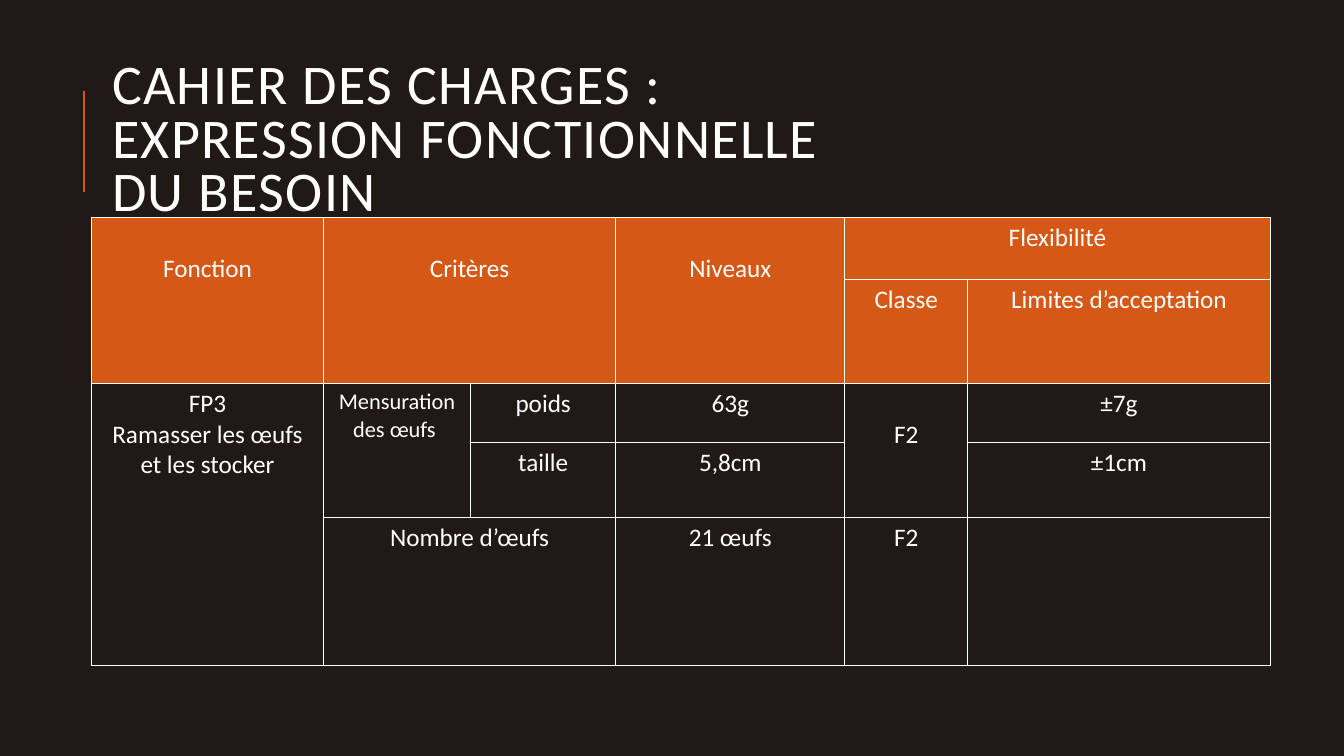
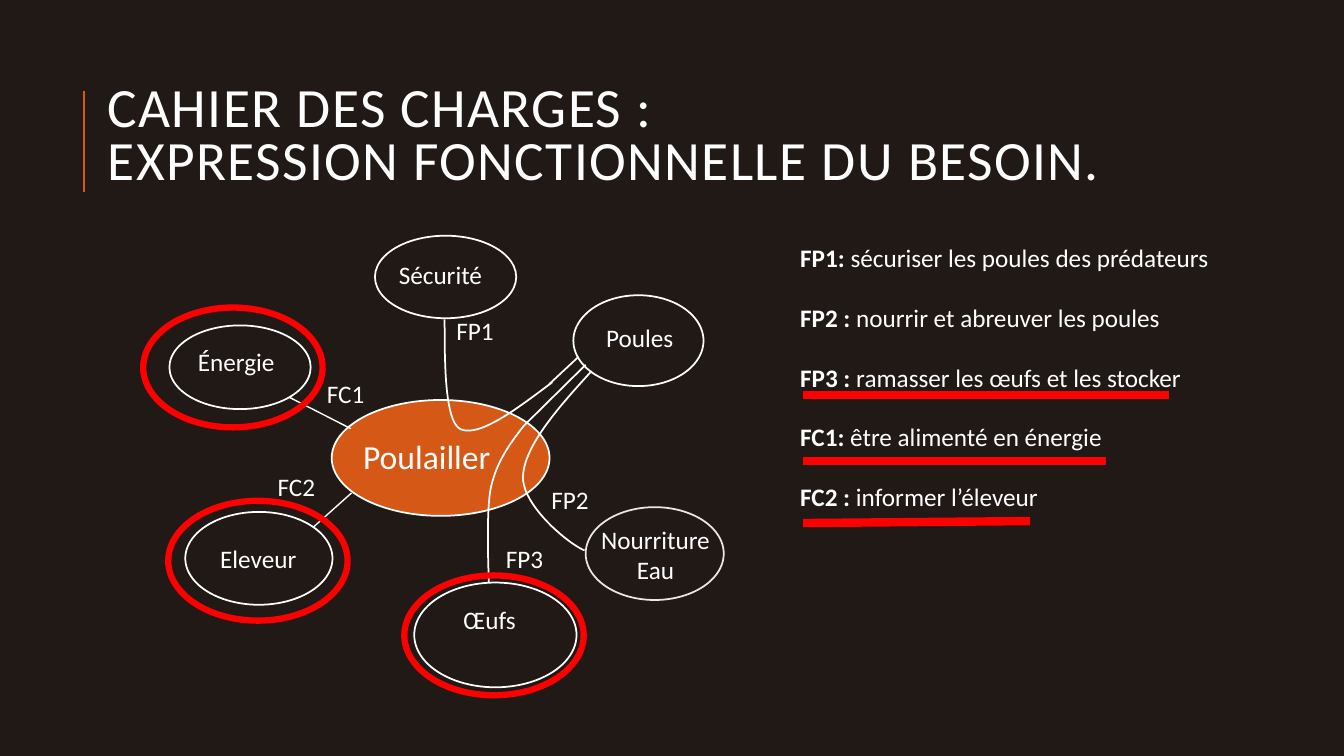
import pptx
import pptx.util
import pptx.dml.color
import pptx.enum.shapes
import pptx.enum.text
import pptx.oxml.ns
import lxml.etree

Cm = pptx.util.Cm
Pt = pptx.util.Pt
RGBColor = pptx.dml.color.RGBColor
Align = pptx.enum.text.PP_ALIGN
Anchor = pptx.enum.text.MSO_ANCHOR

DARK = RGBColor(0x21, 0x19, 0x15)
ORANGE = RGBColor(0xD5, 0x58, 0x16)
WHITE = RGBColor(0xFF, 0xFF, 0xFF)
CREAM = RGBColor(0xED, 0xE7, 0xE3)
RED = RGBColor(0xFF, 0x00, 0x00)
FONT = "Calibri"
CURVE_STEPS = 20

COLUMNS = [5.84, 3.71, 3.66, 5.77, 3.1, 7.62]
ROWS = [1.55, 2.62, 1.5, 1.88, 3.73]
MERGES = [
    (0, 0, 1, 0), (0, 1, 1, 2), (0, 3, 1, 3), (0, 4, 0, 5),
    (2, 0, 4, 0), (2, 1, 3, 1), (2, 4, 3, 4), (4, 1, 4, 2),
]
CELLS = {
    (0, 0): ["Fonction"],
    (0, 1): ["Critères"],
    (0, 3): ["Niveaux"],
    (0, 4): ["Flexibilité"],
    (1, 4): ["Classe"],
    (1, 5): ["Limites d’acceptation"],
    (2, 0): ["FP3", "Ramasser les œufs et les stocker"],
    (2, 1): ["Mensuration des œufs "],
    (2, 2): ["poids"],
    (2, 3): ["63g"],
    (2, 4): ["F2"],
    (2, 5): ["±7g"],
    (3, 2): ["taille"],
    (3, 3): ["5,8cm"],
    (3, 5): ["±1cm"],
    (4, 1): ["Nombre d’œufs"],
    (4, 3): ["21 œufs"],
    (4, 4): ["F2"],
}
LOWERED_CELLS = [(0, 0), (0, 1), (0, 3), (2, 4)]
SMALL_CELL = (2, 1)

ELLIPSES = [
    (8.36, 10.08, 5.49, 2.92, ORANGE, WHITE),
    (4.27, 8.2, 3.56, 2.11, DARK, WHITE),
    (14.45, 7.44, 3.28, 2.29, DARK, WHITE),
    (14.76, 12.78, 3.48, 2.34, DARK, CREAM),
    (9.45, 5.94, 3.56, 2.08, DARK, WHITE),
    (4.67, 12.9, 3.71, 2.34, DARK, WHITE),
    (10.44, 14.68, 4.09, 2.64, None, WHITE),
]
LABELS = [
    ("Poules", 14.45, 8, 3.35),
    ("Œufs", 10.64, 15.11, 3.4),
    ("Sécurité", 8.61, 6.4, 4.98),
    ("Nourriture Eau", 14.88, 13.08, 3.28),
    ("Énergie", 4.42, 8.61, 3.07),
    ("Eleveur", 4.95, 13.56, 3.12),
    ("FC1", 7.95, 9.42, 1.52),
    ("FC2", 6.71, 11.76, 1.52),
    ("FP1", 11.1, 7.82, 1.75),
    ("FP2", 13.49, 12.09, 1.75),
]
CURVES = [
    [(13.92, 9.63), (12.98, 10.34), (12.04, 11.05), (11.58, 10.8),
     (11.13, 10.52), (11.23, 8.38), (11.2, 8.05)],
    [(14.91, 9.35), (14.05, 10.29), (13.21, 11.25), (13.18, 12.01),
     (13.16, 12.75), (14.35, 13.72), (14.73, 13.87)],
    [(13.21, 10.72), (12.85, 11.18), (12.52, 11.63), (12.37, 12.29),
     (12.24, 12.95), (12.32, 14.53), (12.32, 14.68)],
]
LINKS = [
    (7.29, 10.01, 8.84, 10.8, 1),
    (7.9, 13.28, 8.86, 12.42, 1),
    (13.84, 9.68, 14.58, 8.99, 1.25),
    (13.21, 10.72, 14.76, 9.19, 1.25),
]
UNDERLINES = [
    (20.24, 9.96, 29.46, 9.96),
    (20.24, 11.61, 27.86, 11.61),
    (20.24, 13.18, 25.96, 13.13),
]
RINGS = [(10.19, 14.5), (4.24, 12.62), (3.61, 7.75)]
FUNCTIONS = [
    ("FP1: ", "sécuriser les poules des prédateurs"),
    ("FP2 : ", "nourrir et abreuver les poules"),
    ("FP3 : ", "ramasser les œufs et les stocker"),
    ("FC1: ", "être alimenté en énergie"),
    ("FC2 : ", "informer l’éleveur"),
]


def add_span(para, text, size, bold=False):
    span = para.add_run()
    span.text = text
    span.font.name = FONT
    span.font.size = Pt(size)
    span.font.bold = bold
    span.font.color.rgb = WHITE
    return span


def place(shape, left, top, width, height):
    shape.left, shape.top = Cm(left), Cm(top)
    shape.width, shape.height = Cm(width), Cm(height)


def add_line(page, x1, y1, x2, y2, color, weight):
    line = page.shapes.add_connector(
        pptx.enum.shapes.MSO_CONNECTOR.STRAIGHT, Cm(x1), Cm(y1), Cm(x2), Cm(y2))
    line.line.color.rgb = color
    line.line.width = Pt(weight)
    lxml.etree.SubElement(line._element.spPr, pptx.oxml.ns.qn("a:effectLst"))


def outline(shape, fill, color, weight):
    shape.shadow.inherit = False
    if fill is None:
        shape.fill.background()
    else:
        shape.fill.solid()
        shape.fill.fore_color.rgb = fill
    shape.line.color.rgb = color
    shape.line.width = Pt(weight)


def add_ellipse(page, left, top, width, height, fill, color, weight=1.25):
    ellipse = page.shapes.add_shape(
        pptx.enum.shapes.MSO_SHAPE.OVAL, Cm(left), Cm(top), Cm(width), Cm(height))
    outline(ellipse, fill, color, weight)


def add_label(page, text, left, top, width, size=18, align=Align.CENTER):
    box = page.shapes.add_textbox(Cm(left), Cm(top), Cm(width), Cm(1.02))
    box.text_frame.word_wrap = True
    para = box.text_frame.paragraphs[0]
    para.alignment = align
    add_span(para, text, size)


def bezier_point(corners, t):
    weights = [(1 - t) ** 3, 3 * t * (1 - t) ** 2, 3 * t ** 2 * (1 - t), t ** 3]
    return tuple(Cm(sum(w * corner[axis] for w, corner in zip(weights, corners)))
                 for axis in (0, 1))


def add_curve(page, points):
    builder = page.shapes.build_freeform(Cm(points[0][0]), Cm(points[0][1]))
    for first in range(0, len(points) - 1, 3):
        corners = points[first:first + 4]
        builder.add_line_segments(
            [bezier_point(corners, step / CURVE_STEPS) for step in range(1, CURVE_STEPS + 1)],
            close=False)
    outline(builder.convert_to_shape(), None, WHITE, 1.25)


def add_page(deck, layout, lines, area, size):
    page = deck.slides.add_slide(deck.slide_layouts[layout])
    add_line(page, 2.11, 4.83, 2.11, 2.29, ORANGE, 1.5)
    title = page.shapes.title
    place(title, *area)
    frame = title.text_frame
    frame.auto_size = pptx.enum.text.MSO_AUTO_SIZE.NONE
    frame.word_wrap = True
    frame.vertical_anchor = Anchor.MIDDLE
    para = frame.paragraphs[0]
    para.alignment = Align.LEFT
    para.line_spacing = 0.8
    for number, line in enumerate(lines):
        if number:
            para.add_line_break()
        span = add_span(para, line, size)
        span._r.get_or_add_rPr().set("spc", "100")
    return page


def add_borders(cell):
    properties = cell._tc.get_or_add_tcPr()
    for side in ("a:lnL", "a:lnR", "a:lnT", "a:lnB"):
        border = lxml.etree.SubElement(properties, pptx.oxml.ns.qn(side), w=str(Pt(1)))
        fill = lxml.etree.SubElement(border, pptx.oxml.ns.qn("a:solidFill"))
        lxml.etree.SubElement(fill, pptx.oxml.ns.qn("a:srgbClr"), val=str(WHITE))


def add_requirements_table(page):
    table = page.shapes.add_table(
        len(ROWS), len(COLUMNS), Cm(2.31), Cm(5.49), Cm(sum(COLUMNS)), Cm(sum(ROWS))).table
    table.first_row = False
    table.horz_banding = False
    for column, width in zip(table.columns, COLUMNS):
        column.width = Cm(width)
    for row, height in zip(table.rows, ROWS):
        row.height = Cm(height)
    for top, left, bottom, right in MERGES:
        table.cell(top, left).merge(table.cell(bottom, right))
    for row in range(len(ROWS)):
        for column in range(len(COLUMNS)):
            cell = table.cell(row, column)
            add_borders(cell)
            cell.fill.solid()
            cell.fill.fore_color.rgb = ORANGE if row < 2 else DARK
    for position, lines in CELLS.items():
        cell = table.cell(*position)
        if position in LOWERED_CELLS:
            cell.margin_top = Cm(0.91)
        for number, line in enumerate(lines):
            frame = cell.text_frame
            para = frame.add_paragraph() if number else frame.paragraphs[0]
            para.alignment = Align.CENTER
            add_span(para, line, 16 if position == SMALL_CELL else 18)


def fill_function_list(body):
    place(body, 19.91, 5.99, 11.66, 7.95)
    frame = body.text_frame
    frame.auto_size = pptx.enum.text.MSO_AUTO_SIZE.NONE
    for number, (code, purpose) in enumerate(FUNCTIONS):
        para = frame.add_paragraph() if number else frame.paragraphs[0]
        para.space_before = Pt(0)
        para.space_after = Pt(21)
        properties = para._p.get_or_add_pPr()
        properties.set("marL", "0")
        properties.set("indent", "0")
        lxml.etree.SubElement(properties, pptx.oxml.ns.qn("a:buNone"))
        add_span(para, code, 18, bold=True)
        add_span(para, purpose, 18)


def add_interaction_diagram(page):
    for ellipse in ELLIPSES:
        add_ellipse(page, *ellipse)
    add_label(page, "Poulailler", 8.23, 10.85, 5.05, size=24)
    add_label(page, "FP3", 12.5, 13.56, 1.83, align=Align.LEFT)
    for label in LABELS:
        add_label(page, *label)
    for points in CURVES:
        add_curve(page, points)
    for x1, y1, x2, y2, weight in LINKS:
        add_line(page, x1, y1, x2, y2, WHITE, weight)
    for left, top in RINGS:
        add_ellipse(page, left, top, 4.52, 3.02, None, RED, 4.5)


def main():
    deck = pptx.Presentation()
    deck.slide_width, deck.slide_height = Cm(33.87), Cm(19.05)
    background = deck.slide_master.background.fill
    background.solid()
    background.fore_color.rgb = DARK

    page = add_page(
        deck, 5, ["CAHIER DES CHARGES :", "EXPRESSION FONCTIONNELLE DU BESOIN"],
        (2.57, 2.69, 20.07, 1.78), 40)
    add_requirements_table(page)

    page = add_page(
        deck, 1, ["CAHIER DES CHARGES :", "EXPRESSION FONCTIONNELLE DU BESOIN."],
        (2.46, 1.5, 27, 4.17), 39.6)
    page.shapes.title.text_frame.margin_bottom = Cm(0.33)
    fill_function_list(page.placeholders[1])
    add_interaction_diagram(page)
    for underline in UNDERLINES:
        add_line(page, *underline, RED, 6)

    deck.save("out.pptx")


main()
